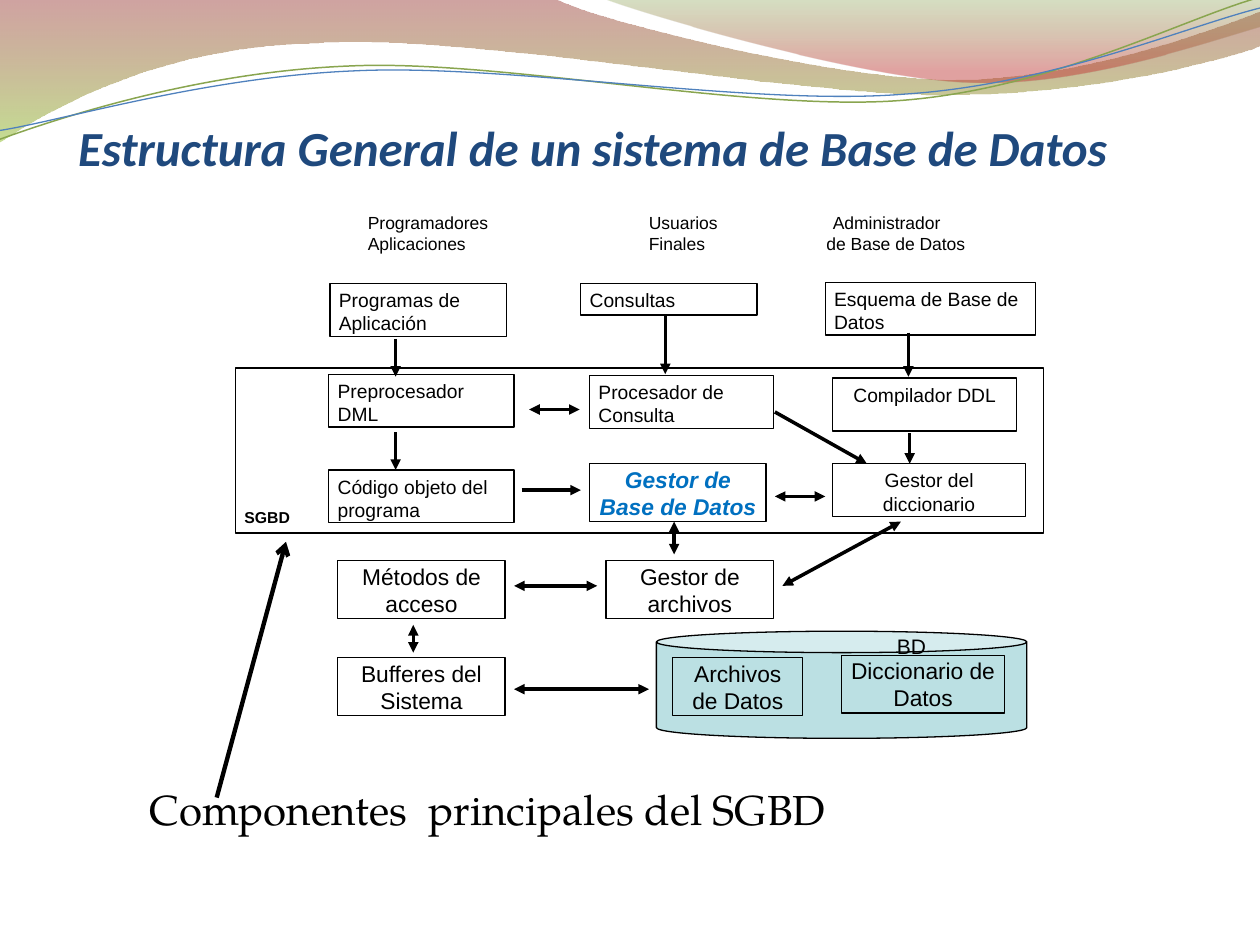
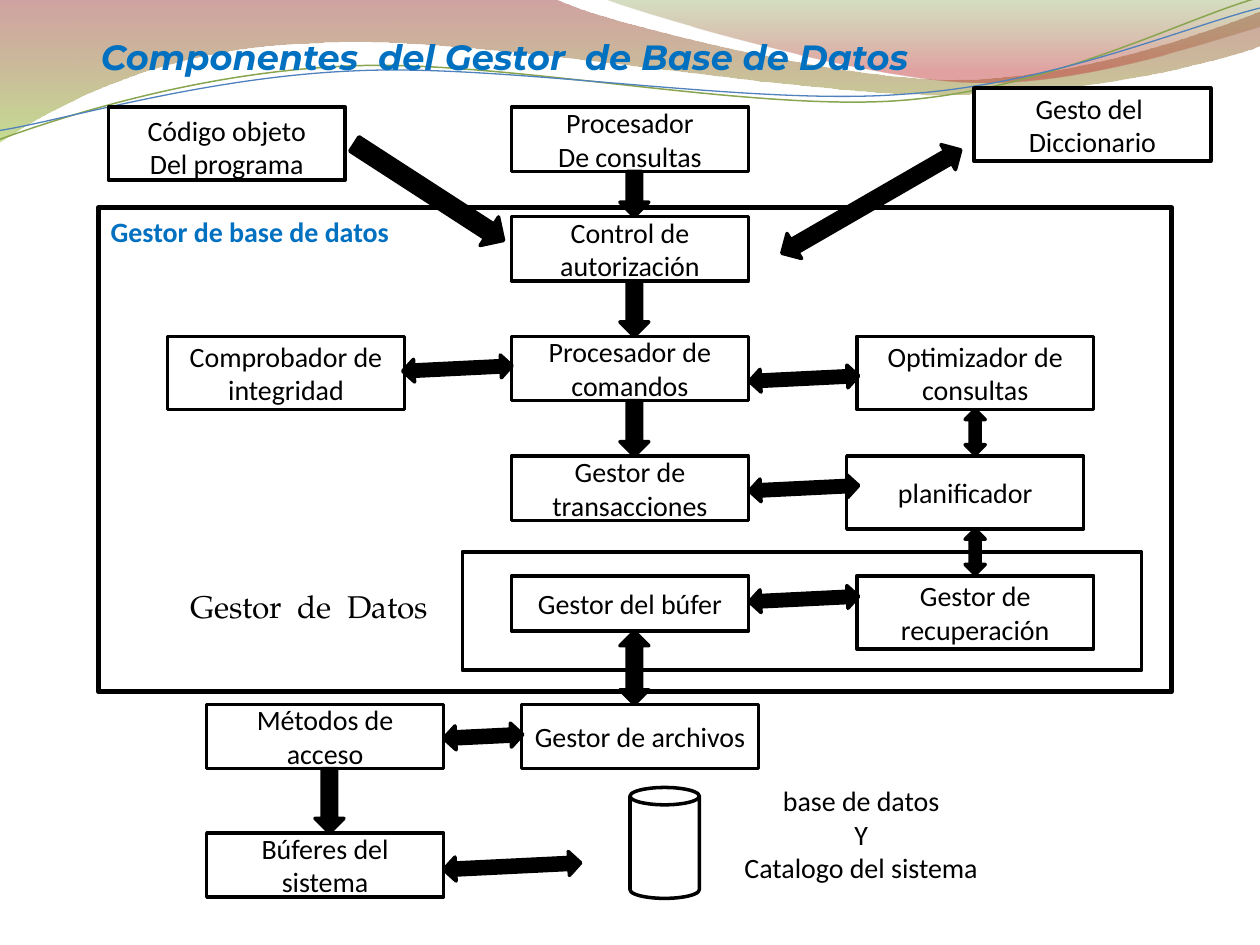
from dataclasses import dataclass, replace
from typing import Any

from lxml.etree import SubElement
from pptx import Presentation
from pptx.dml.color import RGBColor
from pptx.enum.shapes import MSO_CONNECTOR, MSO_SHAPE
from pptx.enum.text import MSO_ANCHOR, MSO_AUTO_SIZE, PP_ALIGN
from pptx.oxml.ns import qn
from pptx.util import Inches, Pt

BLACK = RGBColor(0x00, 0x00, 0x00)
WHITE = RGBColor(0xFF, 0xFF, 0xFF)
NAVY = RGBColor(0x1F, 0x49, 0x7D)
BLUE = RGBColor(0x00, 0x70, 0xC0)
AQUA = RGBColor(0xBB, 0xE0, 0xE3)
WAVE_RED = RGBColor(0x97, 0x33, 0x30)
WAVE_LIME = RGBColor(0x95, 0xC2, 0x38)
WAVE_OLIVE = RGBColor(0x76, 0x95, 0x37)
WAVE_ROSE = RGBColor(0xBE, 0x33, 0x30)
LINE_GREEN = RGBColor(0x89, 0xA5, 0x4F)
LINE_BLUE = RGBColor(0x4F, 0x81, 0xBD)


@dataclass(frozen=True)
class TextStyle:
    font: str
    size: float
    color: RGBColor = BLACK
    bold: bool = False
    italic: bool = False
    align: Any = PP_ALIGN.LEFT
    anchor: Any = MSO_ANCHOR.TOP
    insets: tuple = (0.1, 0.05, 0.1, 0.05)


SMALL = TextStyle("Arial", 11, insets=(0.07, 0.04, 0.07, 0.04))
SMALL_CENTERED = replace(SMALL, align=PP_ALIGN.CENTER)
MEDIUM = replace(SMALL_CENTERED, size=13, anchor=MSO_ANCHOR.MIDDLE)
MANAGER = replace(MEDIUM, color=BLUE, bold=True, italic=True)
USERS = replace(SMALL, size=10, insets=(0.11, 0.04, 0.07, 0.04))
SGBD_LABEL = replace(SMALL, size=9, bold=True)
DATABASE_LABEL = TextStyle("Arial", 12)
NODE = TextStyle("Calibri", 16, align=PP_ALIGN.CENTER, anchor=MSO_ANCHOR.MIDDLE)
CAPTION = replace(NODE, anchor=MSO_ANCHOR.TOP)
FRAME_LABEL = TextStyle("Calibri", 16, BLUE, bold=True)
SERIF_LARGE = TextStyle("TeX Gyre Pagella", 24)
SERIF = replace(SERIF_LARGE, size=18)
STRUCTURE_TITLE = TextStyle("Calibri", 28, NAVY, True, True,
                            anchor=MSO_ANCHOR.BOTTOM, insets=(0, 0.05, 0, 0))
COMPONENTS_TITLE = TextStyle("Montserrat", 20, BLUE, True, True)


def write(shape, text, style):
    frame = shape.text_frame
    frame.text = text
    frame.word_wrap = True
    frame.auto_size = MSO_AUTO_SIZE.NONE
    frame.vertical_anchor = style.anchor
    (frame.margin_left, frame.margin_top,
     frame.margin_right, frame.margin_bottom) = map(Inches, style.insets)
    for paragraph in frame.paragraphs:
        paragraph.alignment = style.align
        font = paragraph.font
        font.name, font.size = style.font, Pt(style.size)
        font.bold, font.italic = style.bold, style.italic
        font.color.rgb = style.color


@dataclass
class Region:
    slide: Any
    left: float
    top: float

    def place(self, x, y, width, height):
        return [Inches(value) for value in (self.left + x, self.top + y, width, height)]

    def shape(self, kind, box, fill=None, line=0.75, rotation=0):
        shape = self.slide.shapes.add_shape(kind, *self.place(*box))
        shape.shadow.inherit = False
        if fill is None:
            shape.fill.background()
        else:
            shape.fill.solid()
            shape.fill.fore_color.rgb = fill
        shape.line.color.rgb = BLACK
        shape.line.width = Pt(line)
        shape.rotation = rotation
        return shape

    def box(self, box, text, style, fill=None, line=0.75):
        write(self.shape(MSO_SHAPE.RECTANGLE, box, fill, line), text, style)

    def node(self, x, y, text, height=0.51):
        self.box((x, y, 1.88, height), text, NODE, WHITE, 2)

    def arrow(self, kind, box, rotation=0):
        self.shape(kind, box, BLACK, 2, rotation)

    def label(self, box, text, style):
        shape = self.slide.shapes.add_textbox(*self.place(*box))
        write(shape, text, style)
        return shape

    def link(self, x1, y1, x2, y2, both=False, width=2, head="triangle"):
        start, end = self.place(x1, y1, 0, 0)[:2], self.place(x2, y2, 0, 0)[:2]
        connector = self.slide.shapes.add_connector(MSO_CONNECTOR.STRAIGHT, *start, *end)
        connector.line.color.rgb = BLACK
        connector.line.width = Pt(width)
        properties = connector.element.spPr
        outline = properties.find(qn("a:ln"))
        for end_tag in (["a:headEnd"] if both else []) + ["a:tailEnd"]:
            SubElement(outline, qn(end_tag), type=head)
        SubElement(properties, qn("a:effectLst"))


def wave(slide, start, segments, closed):
    vertices = [(Inches(x), Inches(y)) for segment in segments
                for x, y in zip(segment[::2], segment[1::2])]
    builder = slide.shapes.build_freeform(*map(Inches, start))
    builder.add_line_segments(vertices, close=closed)
    shape = builder.convert_to_shape()
    shape.shadow.inherit = False
    lines = iter(list(shape.element.spPr.iter(qn("a:lnTo"))))
    for segment in segments:
        first, *others = [next(lines) for _ in segment[::2]]
        if others:
            first.tag = qn("a:cubicBezTo")
        for line in others:
            first.append(line[0])
            line.getparent().remove(line)
    return shape


def wave_band(slide, start, segments, stops):
    shape = wave(slide, start, segments, True)
    shape.line.fill.background()
    shape.fill.gradient()
    shape.fill.gradient_angle = 270
    for stop, (position, color, _) in zip(shape.fill.gradient_stops, stops):
        stop.position = position
        stop.color.rgb = color
    for color, (_, _, opacity) in zip(shape.element.spPr.iter(qn("a:srgbClr")), stops):
        SubElement(color, qn("a:alpha"), val=str(opacity * 1000))
    return shape


def wave_line(slide, start, segments, color, width):
    shape = wave(slide, start, segments, False)
    shape.rotation = 357.3
    shape.fill.background()
    shape.line.color.rgb = color
    shape.line.width = Pt(width)
    return shape


def decorate_master(master, slide):
    waves = [
        wave_band(slide, (0, 0), [
            (4.4, -0.01), (4.76, 0.17, 6.64, 0.63, 7.58, 0.63),
            (8.53, 0.63, 9.58, 0.26, 10, 0.09), (10.01, 0.36),
            (9.83, 0.44, 8.7, 0.76, 7.46, 0.75), (6.22, 0.75, 3.82, 0.28, 2.57, 0.34),
            (1.29, 0.36, 0.46, 0.83, -0.01, 1.13)],
            [(0, WAVE_RED, 45), (1, WAVE_LIME, 55)]),
        wave_band(slide, (4.79, -0.01), [
            (5.09, 0.11, 6.82, 0.62, 7.69, 0.65),
            (8.56, 0.69, 9.61, 0.32, 10, 0.21), (10, 0)],
            [(0, WAVE_OLIVE, 30), (0.8, WAVE_ROSE, 45)]),
        wave_line(slide, (-0.02, 0.87), [
            (0.47, 0.72, 1.58, 0.41, 2.78, 0.42), (3.96, 0.42, 5.91, 0.93, 7.12, 0.9),
            (8.32, 0.87, 9.4, 0.36, 10, 0.22)], LINE_GREEN, 0.85),
        wave_line(slide, (-0.02, 0.8), [
            (0.46, 0.75, 1.64, 0.45, 2.83, 0.46), (4.03, 0.46, 5.96, 0.89, 7.16, 0.85),
            (8.35, 0.83, 9.42, 0.42, 10.02, 0.3)], LINE_BLUE, 0.75),
    ]
    for index, shape in enumerate(waves):
        shape.element.nvSpPr.cNvPr.set("id", str(100 + index))
        master.shapes.element.insert(2 + index, shape.element)


def add_title(slide, box, text, style):
    title = slide.shapes.title
    title.left, title.top, title.width, title.height = map(Inches, box)
    write(title, text, style)


def draw_users(slide, left, top):
    region = Region(slide, left, top)
    header = region.label((0.19, 0, 5.47, 0.44),
                          "Programadores\tUsuarios\tAdministrador\n"
                          "Aplicaciones\tFinales\tde Base de Datos", USERS)
    for paragraph, last_stop in zip(header.text_frame.paragraphs, (3.69, 3.64)):
        properties = paragraph._p.get_or_add_pPr()
        tabs = SubElement(properties, qn("a:tabLst"))
        properties.insert(0, tabs)
        for position in (2.23, last_stop):
            SubElement(tabs, qn("a:tab"), pos=str(Inches(position)), algn="l")
    region.box((0, 0.61, 1.4, 0.42), "Programas de Aplicación", SMALL)
    region.box((1.99, 0.61, 1.4, 0.25), "Consultas", SMALL)
    region.box((3.93, 0.6, 1.67, 0.42), "Esquema de Base de Datos", SMALL)
    for x, start, end in ((0.52, 1.05, 1.35), (2.66, 0.87, 1.33), (4.59, 1, 1.35)):
        region.link(x, start, x, end)


def draw_sgbd(slide, left, top):
    region = Region(slide, left, top)
    region.box((0, 0, 6.41, 1.31), "", SMALL)
    region.box((0.74, 0.05, 1.47, 0.42), "Preprocesador DML", SMALL)
    region.box((2.81, 0.06, 1.46, 0.42), "Procesador de Consulta", SMALL)
    region.box((4.74, 0.08, 1.46, 0.42), "Compilador DDL", SMALL_CENTERED)
    region.box((0.74, 0.81, 1.47, 0.42), "Código objeto del programa", SMALL)
    region.box((2.81, 0.76, 1.4, 0.46), "Gestor de Base de Datos", MANAGER)
    region.box((4.74, 0.76, 1.53, 0.42), "Gestor del diccionario", SMALL_CENTERED)
    region.label((0, 1.07, 0.67, 0.2), "SGBD", SGBD_LABEL)
    region.link(2.33, 0.33, 2.73, 0.33, both=True)
    region.link(4.28, 1.02, 4.68, 1.02, both=True)
    region.link(1.27, 0.51, 1.27, 0.81)
    region.link(5.35, 0.52, 5.35, 0.76)
    region.link(4.28, 0.35, 5.01, 0.76)
    region.link(2.27, 0.97, 2.74, 0.97)


def draw_files(slide, left, top):
    region = Region(slide, left, top)
    cylinder = region.shape(MSO_SHAPE.CAN, (2.53, 0.87, 2.94, 0.85), AQUA)
    cylinder.adjustments[0] = 0.2
    for x, y, text in ((0, 0.31, "Métodos de acceso"), (2.13, 0.31, "Gestor de archivos"),
                       (0, 1.08, "Bufferes del Sistema")):
        region.box((x, y, 1.33, 0.46), text, MEDIUM)
    region.box((2.66, 1.08, 1.03, 0.46), "Archivos de Datos", MEDIUM, AQUA)
    region.box((4, 1.06, 1.29, 0.46), "Diccionario de Datos", MEDIUM, AQUA)
    region.label((4.34, 0.84, 0.58, 0.22), "BD", DATABASE_LABEL)
    for ends in ((0.6, 0.82, 0.6, 1.04), (3.53, 0.51, 4.47, 0), (1.4, 0.51, 2.06, 0.51),
                 (1.4, 1.33, 2.47, 1.33), (2.67, 0, 2.67, 0.26)):
        region.link(*ends, both=True)


def draw_annotation(slide, left, top):
    region = Region(slide, left, top)
    region.label((0, 1.87, 5.63, 0.5), "Componentes  principales del SGBD", SERIF_LARGE)
    region.link(0.63, 2.03, 1.18, 0, width=2.5, head="arrow")


def draw_manager(slide, left, top):
    region = Region(slide, left, top)
    region.box((0, 0, 8.52, 3.84), "Gestor de base de datos", FRAME_LABEL, line=3)
    region.box((2.89, 2.73, 5.39, 0.94), "", NODE, line=2)
    region.label((0.63, 2.96, 2.19, 0.4), "Gestor  de  Datos", SERIF)
    rows = [0.07 + 0.95 * row for row in range(4)]
    for y, text in zip(rows, ("Control de autorización", "Procesador de comandos",
                              "Gestor de transacciones")):
        region.node(3.28, y, text)
    region.node(3.28, rows[3], "Gestor del búfer", 0.44)
    region.node(0.55, rows[1], "Comprobador de integridad", 0.58)
    for x, y, text in zip((6.02, 5.94, 6.02), rows[1:],
                          ("Optimizador de consultas", "planificador", "Gestor de recuperación")):
        region.node(x, y, text, 0.58)
    for y in rows[:2]:
        region.arrow(MSO_SHAPE.DOWN_ARROW, (4.14, y + 0.51, 0.23, 0.44))
    for y in rows[1:3]:
        region.arrow(MSO_SHAPE.UP_DOWN_ARROW, (6.88, y + 0.58, 0.16, 0.36))
    for x, y in ((2.76, 0.84), (5.51, 0.92), (5.51, 1.79), (5.51, 2.67)):
        region.arrow(MSO_SHAPE.UP_DOWN_ARROW, (x, y, 0.18, 0.87), 87.2)
    region.arrow(MSO_SHAPE.UP_DOWN_ARROW, (4.14, 3.36, 0.23, 0.58))


def draw_sources(slide, left, top):
    region = Region(slide, left, top)
    region.box((0, 0.15, 1.88, 0.58), "", NODE, WHITE, 2)
    region.label((0, 0.15, 1.88, 0.6), "Código objeto\nDel programa", CAPTION)
    region.node(3.2, 0.15, "Procesador\nDe consultas")
    region.node(6.87, 0, "Gesto del \nDiccionario", 0.58)
    region.arrow(MSO_SHAPE.DOWN_ARROW, (4.06, 0.66, 0.23, 0.36))
    region.arrow(MSO_SHAPE.DOWN_ARROW, (2.41, 0.12, 0.27, 1.41), 302.9)
    region.arrow(MSO_SHAPE.UP_DOWN_ARROW, (5.94, 0.08, 0.23, 1.64), 60)


def draw_storage(slide, left, top):
    region = Region(slide, left, top)
    region.node(0, 0, "Métodos de acceso")
    region.node(2.5, 0, "Gestor de archivos")
    region.node(0, 1.02, "Búferes del sistema")
    region.arrow(MSO_SHAPE.DOWN_ARROW, (0.86, 0.51, 0.23, 0.51))
    region.arrow(MSO_SHAPE.UP_DOWN_ARROW, (2.1, -0.06, 0.19, 0.63), 87.2)
    region.arrow(MSO_SHAPE.UP_DOWN_ARROW, (2.33, 0.74, 0.19, 1.09), 87.2)
    region.shape(MSO_SHAPE.CAN, (3.36, 0.66, 0.55, 0.88), WHITE, 2)
    region.label((4.06, 0.58, 2.27, 1.1), "base de datos\nY\nCatalogo del sistema", CAPTION)


presentation = Presentation()
presentation.slide_width, presentation.slide_height = Inches(10), Inches(7.5)
title_only = presentation.slide_layouts[5]

structure = presentation.slides.add_slide(title_only)
decorate_master(presentation.slide_master, structure)
add_title(structure, (0.62, 0.62, 9, 0.78),
          "Estructura General de un sistema de Base de Datos", STRUCTURE_TITLE)
draw_users(structure, 2.62, 1.64)
draw_sgbd(structure, 1.87, 2.92)
draw_files(structure, 2.68, 4.14)
draw_annotation(structure, 1.09, 4.3)

components = presentation.slides.add_slide(title_only)
add_title(components, (0.7, 0.23, 7.27, 0.44),
          "Componentes  del Gestor  de Base de Datos", COMPONENTS_TITLE)
draw_manager(components, 0.78, 1.65)
draw_sources(components, 0.86, 0.7)
draw_storage(components, 1.64, 5.59)

presentation.save("out.pptx")
